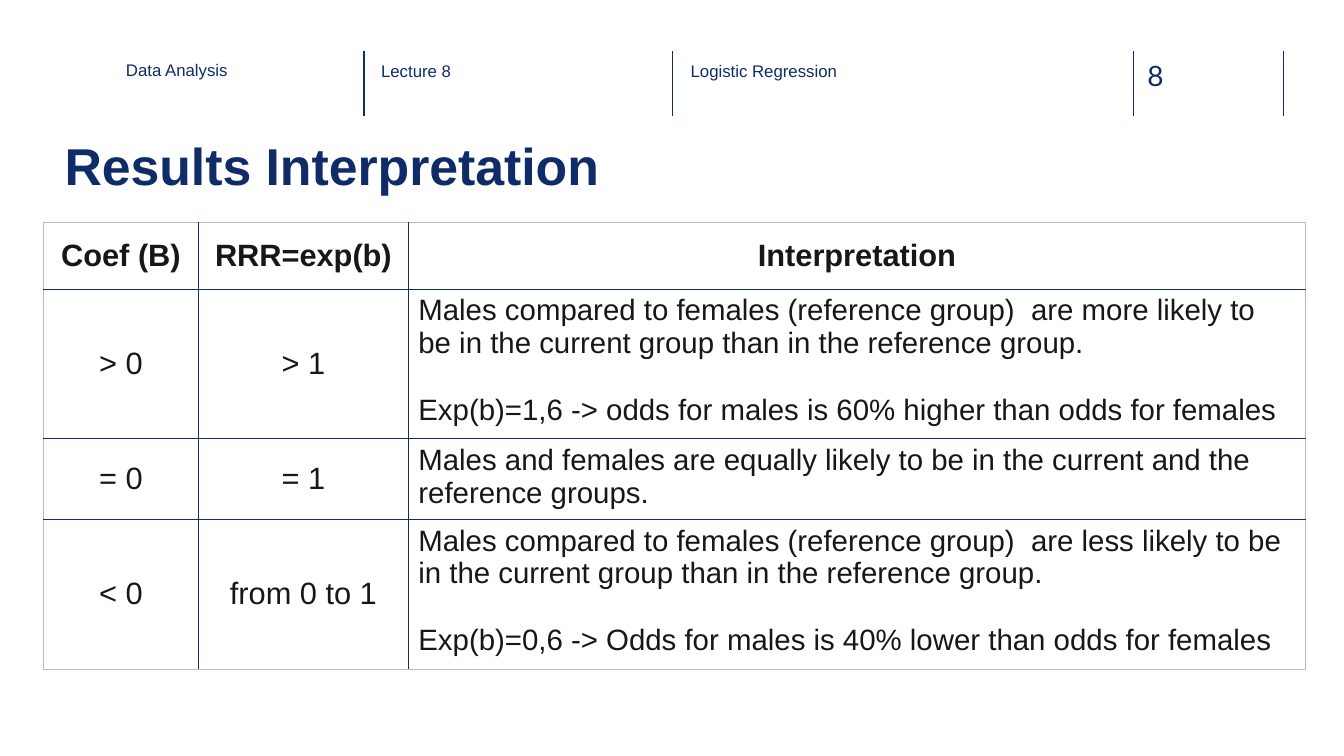
from dataclasses import dataclass

from lxml import etree
from pptx import Presentation
from pptx.dml.color import RGBColor
from pptx.enum.shapes import MSO_CONNECTOR
from pptx.enum.text import MSO_ANCHOR, PP_ALIGN
from pptx.oxml.ns import qn
from pptx.util import Inches, Pt

STRAIGHT = MSO_CONNECTOR.STRAIGHT
LEFT, CENTER = PP_ALIGN.LEFT, PP_ALIGN.CENTER
TOP, MIDDLE = MSO_ANCHOR.TOP, MSO_ANCHOR.MIDDLE


@dataclass(frozen=True)
class Theme:
    """Colours, fonts and type sizes of the slide."""
    navy: str = "0F2C68"
    rule: str = "102D69"
    ink: str = "181717"
    frame: str = "B9BCC8"
    font: str = "Arial"
    number_font: str = "Lato"
    label: int = 12
    number: int = 20
    title: int = 37
    cell: int = 22
    detail: int = 21


def write_text(frame, paragraphs, *, size, color, font, bold=False, align=LEFT, gap=0):
    """Fill a text frame with paragraphs, spaced apart by gap points."""
    frame.word_wrap = True
    for index, text in enumerate(paragraphs):
        para = frame.add_paragraph() if index else frame.paragraphs[0]
        para.alignment = align
        para.space_before = Pt(gap if index else 0)
        span = para.add_run()
        span.text = text
        span.font.size = Pt(size)
        span.font.name = font
        span.font.bold = bold
        span.font.color.rgb = RGBColor.from_string(color)


def set_border(cell, side, color, points):
    """Draw one border of a table cell."""
    properties = cell._tc.get_or_add_tcPr()
    line = etree.SubElement(properties, qn(f"a:ln{side}"), w=str(Pt(points)))
    fill = etree.SubElement(line, qn("a:solidFill"))
    etree.SubElement(fill, qn("a:srgbClr"), val=color)


class SlideBuilder:
    """Places styled elements on the current slide."""

    def __init__(self, page, theme):
        self.page = page
        self.theme = theme

    def add_text(self, text, left, top, width, height, size, *, font=None, bold=False):
        """Add a text box without insets."""
        box = self.page.shapes.add_textbox(
            Inches(left), Inches(top), Inches(width), Inches(height))
        frame = box.text_frame
        frame.margin_left = frame.margin_right = 0
        frame.margin_top = frame.margin_bottom = 0
        write_text(frame, [text], size=size, color=self.theme.navy,
                   font=font or self.theme.font, bold=bold)

    def add_divider(self, x, top, bottom):
        """Add a vertical header rule."""
        rule = self.page.shapes.add_connector(
            STRAIGHT, Inches(x), Inches(top), Inches(x), Inches(bottom))
        rule.line.color.rgb = RGBColor.from_string(self.theme.rule)
        rule.line.width = Pt(1)
        etree.SubElement(rule._element.spPr, qn("a:effectLst"))

    def add_table(self, rows, left, top, widths, heights):
        """Add a ruled table with a bold first row and a wide text column."""
        shape = self.page.shapes.add_table(
            len(rows), len(widths), Inches(left), Inches(top),
            Inches(sum(widths)), Inches(sum(heights)))
        table = shape.table
        table.first_row = table.horz_banding = False
        for column, width in zip(table.columns, widths):
            column.width = Inches(width)
        for row, height in zip(table.rows, heights):
            row.height = Inches(height)
        last_row, last_column = len(rows) - 1, len(widths) - 1
        for r, row in enumerate(rows):
            for c, paragraphs in enumerate(row):
                edges = {"L": c == 0, "R": c == last_column,
                         "T": r == 0, "B": r == last_row}
                self.fill_cell(table.cell(r, c), paragraphs, edges,
                               header=r == 0, detail=r > 0 and c == last_column)

    def fill_cell(self, cell, paragraphs, edges, *, header, detail):
        """Write and rule one table cell."""
        theme = self.theme
        for side, outer in edges.items():
            set_border(cell, side, theme.frame if outer else theme.navy,
                       0.5 if outer else 1)
        cell.fill.background()
        cell.vertical_anchor = TOP if detail else MIDDLE
        write_text(cell.text_frame, paragraphs, color=theme.ink, font=theme.font,
                   size=theme.detail if detail else theme.cell, bold=header,
                   align=LEFT if detail else CENTER, gap=24 if detail else 0)


def main():
    """Build and save the slide."""
    theme = Theme()
    deck = Presentation()
    deck.slide_width, deck.slide_height = Inches(13.33), Inches(7.5)
    builder = SlideBuilder(deck.slides.add_slide(deck.slide_layouts[6]), theme)

    for x in (3.61, 6.67, 11.24, 12.73):
        builder.add_divider(x, 0.51, 1.15)
    for label, left, top in (("Data Analysis", 1.25, 0.59),
                             ("Lecture 8", 3.78, 0.6),
                             ("Logistic Regression", 6.85, 0.6)):
        builder.add_text(label, left, top, 2.26, 0.45, theme.label)
    builder.add_text("8", 11.38, 0.58, 0.73, 0.34, theme.number, font=theme.number_font)
    builder.add_text("Results Interpretation", 0.64, 1.33, 12.09, 0.85,
                     theme.title, bold=True)

    rows = [
        [["Coef (B)"], ["RRR=exp(b)"], ["Interpretation"]],
        [["> 0"], ["> 1"],
         ["Males compared to females (reference group)  are more likely to be in the "
          "current group than in the reference group.",
          "Exp(b)=1,6 -> odds for males is 60% higher than odds for females"]],
        [["= 0"], ["= 1"],
         ["Males and females are equally likely to be in the current and the "
          "reference groups."]],
        [["< 0"], ["from 0 to 1"],
         ["Males compared to females (reference group)  are less likely to be in the "
          "current group than in the reference group.",
          "Exp(b)=0,6 -> Odds for males is 40% lower than odds for females"]],
    ]
    builder.add_table(rows, 0.43, 2.21, [1.54, 2.08, 8.9], [0.66, 1.4, 0.75, 1.4])
    deck.save("out.pptx")


if __name__ == "__main__":
    main()
